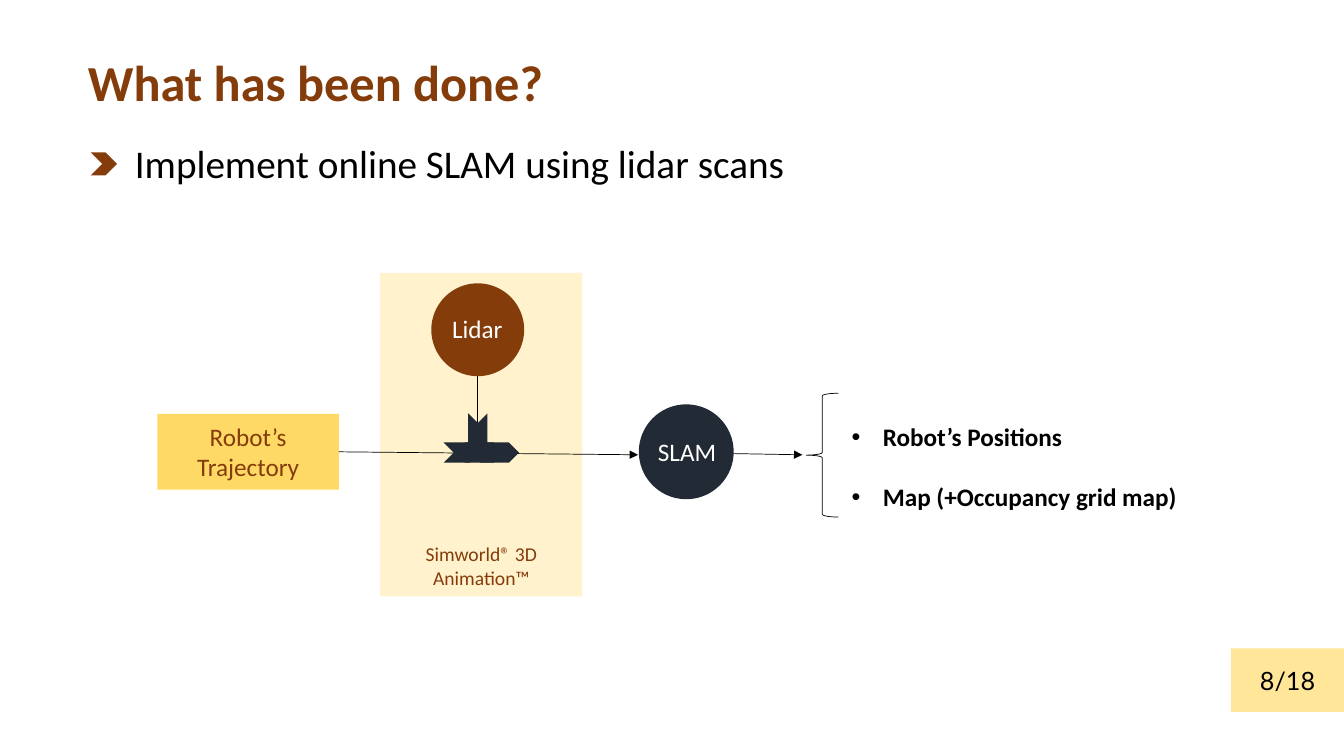
import pptx
import pptx.dml.color
import pptx.enum.shapes
import pptx.enum.text
import pptx.oxml
import pptx.oxml.ns
import pptx.util

Cm = pptx.util.Cm
Pt = pptx.util.Pt
Shape = pptx.enum.shapes.MSO_SHAPE
Align = pptx.enum.text.PP_ALIGN
Anchor = pptx.enum.text.MSO_ANCHOR

COLORS = {
    "brown": "843C0B",
    "navy": "222A35",
    "badge": "FFE699",
    "gold": "FFD966",
    "cream": "FFF2CC",
    "black": "000000",
    "white": "FFFFFF",
}


def color(name):
    return pptx.dml.color.RGBColor.from_string(COLORS[name])


def add_element(parent, tag, **attributes):
    element = pptx.oxml.parse_xml(f"<{tag} {pptx.oxml.ns.nsdecls('a')}/>")
    for name, value in attributes.items():
        element.set(name, value)
    parent.append(element)


def write(shape, lines, size, ink, align=Align.CENTER, bold=False, font="Calibri",
          wrap=False, anchor=Anchor.TOP, bulleted=False):
    frame = shape.text_frame
    frame.word_wrap = wrap
    frame.vertical_anchor = anchor
    frame.text = "\n".join(lines)
    for para in frame.paragraphs:
        para.alignment = align
        if bulleted:
            para.line_spacing = 2.0
            properties = para._p.get_or_add_pPr()
            properties.set("marL", str(Cm(0.79)))
            properties.set("indent", str(-Cm(0.79)))
            add_element(properties, "a:buFont", typeface="Arial")
            add_element(properties, "a:buChar", char="•")
        para.font.name = font
        para.font.size = Pt(size)
        para.font.bold = bold
        para.font.color.rgb = color(ink)


def add_label(page, place, lines, size, ink, **style):
    box = page.shapes.add_textbox(*map(Cm, place))
    write(box, lines, size, ink, **style)


def add_block(page, kind, place, fill, rotation=0):
    block = page.shapes.add_shape(kind, *map(Cm, place))
    block.shadow.inherit = False
    block.fill.solid()
    block.fill.fore_color.rgb = color(fill)
    block.line.fill.background()
    block.rotation = rotation
    return block


def add_arrow(page, start, end):
    arrow = page.shapes.add_connector(
        pptx.enum.shapes.MSO_CONNECTOR.STRAIGHT, *map(Cm, start + end))
    arrow.line.width = Pt(0.5)
    arrow.line.color.rgb = color("black")
    add_element(arrow.line._get_or_add_ln(), "a:tailEnd", type="triangle")
    add_element(arrow._element.spPr, "a:effectLst")
    return arrow


def add_brace(page, place):
    brace = page.shapes.add_shape(Shape.LEFT_BRACE, *map(Cm, place))
    brace.shadow.inherit = False
    brace.fill.background()
    brace.line.width = Pt(0.5)
    brace.line.color.rgb = color("black")


def add_title(page, place, text):
    title = page.shapes.title
    title.left, title.top, title.width, title.height = map(Cm, place)
    write(title, [text], 36, "brown", align=Align.LEFT, bold=True)


def add_robot(page):
    top, height = 11.15, 0.51
    for kind, left, width in (
        (Shape.CHEVRON, 11.18, 0.91),
        (Shape.RECTANGLE, 11.71, 0.74),
        (Shape.CHEVRON, 12.09, 0.99),
    ):
        add_block(page, kind, (left, top, width, height), "navy")
    add_block(page, Shape.CHEVRON, (11.53, 10.69, 1.02, 0.48), "navy", rotation=90)


def add_diagram(page):
    trajectory = add_block(page, Shape.RECTANGLE, (3.97, 10.43, 4.57, 1.91), "gold")
    write(trajectory, ["Robot’s", "Trajectory"], 18, "brown", wrap=True, anchor=Anchor.MIDDLE)

    add_block(page, Shape.RECTANGLE, (9.58, 6.88, 5.1, 8.15), "cream")
    trajectory_arrow = add_arrow(page, (8.54, 11.38), (16.08, 11.46))
    trajectory_arrow.begin_connect(trajectory, 3)
    add_label(page, (9.88, 13.54, 4.5, 1.45), ["Simworld® 3D", "Animation™"], 14, "brown")

    add_block(page, Shape.OVAL, (10.87, 7.14, 2.34, 2.34), "brown")
    add_label(page, (11.13, 7.77, 1.8, 1.02), ["Lidar"], 18, "white")
    add_arrow(page, (12.04, 9.47), (12.04, 11.46))
    add_robot(page)

    add_block(page, Shape.OVAL, (16.1, 10.19, 2.39, 2.39), "navy")
    add_label(page, (16.31, 10.87, 2.01, 1.02), ["SLAM"], 18, "white")
    add_arrow(page, (18.49, 11.43), (20.22, 11.46))

    add_brace(page, (20.32, 9.91, 0.81, 3.12))
    add_label(page, (21.21, 9.73, 8.79, 3.12),
              ["Robot’s Positions", "Map (+Occupancy grid map)"], 18, "black",
              align=Align.LEFT, bold=True, bulleted=True)


def main():
    deck = pptx.Presentation()
    deck.slide_width = Cm(33.87)
    deck.slide_height = Cm(19.05)
    page = deck.slides.add_slide(deck.slide_layouts[5])

    add_block(page, Shape.RECTANGLE, (31.02, 16.34, 2.85, 1.6), "badge")
    add_label(page, (31.47, 16.64, 1.96, 1.02), ["8/18"], 18, "black", font="Lato")
    add_title(page, (1.96, 1.16, 12.12, 1.8), "What has been done?")
    add_block(page, Shape.CHEVRON, (2.29, 3.84, 0.66, 0.58), "brown")
    add_label(page, (3.15, 3.38, 27.86, 1.45), ["Implement online SLAM using lidar scans"],
              28, "black", align=Align.LEFT, wrap=True)
    add_diagram(page)

    deck.save("out.pptx")


if __name__ == "__main__":
    main()
